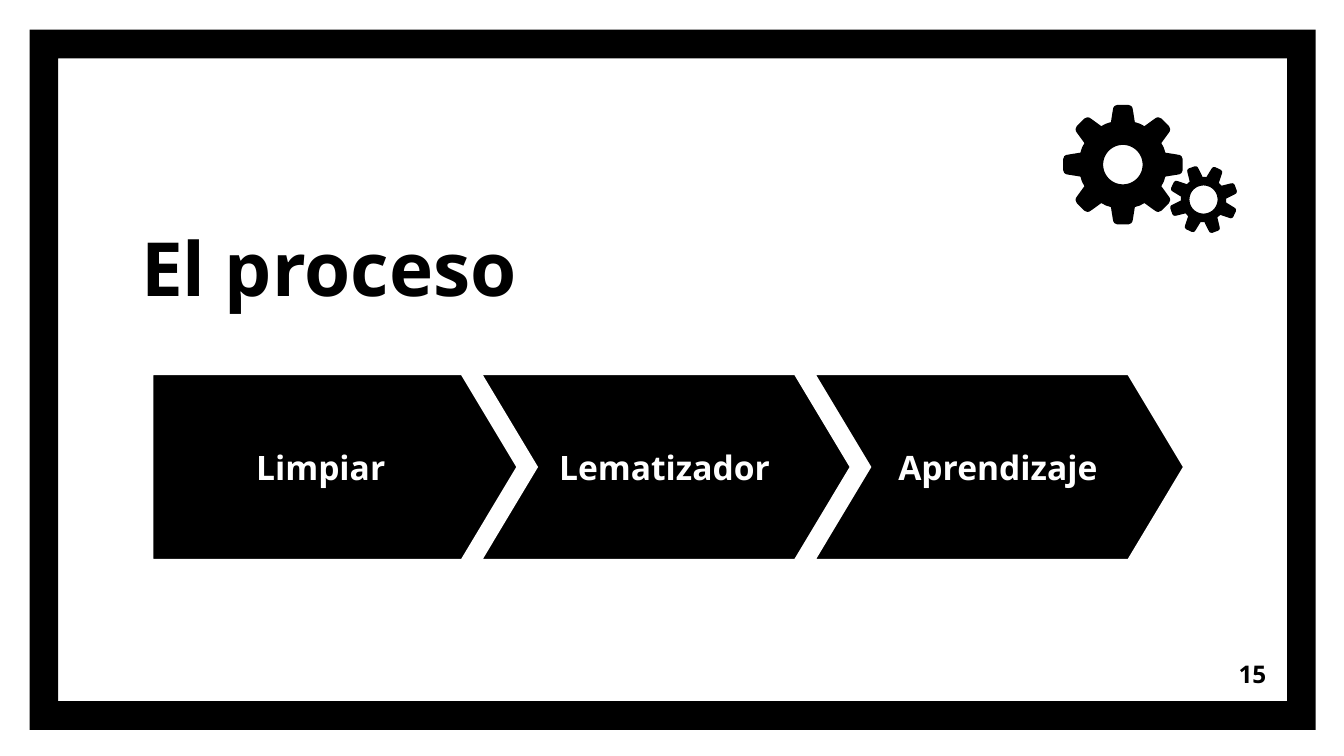
from dataclasses import dataclass
from math import cos, pi, sin

from lxml.etree import SubElement
from pptx import Presentation
from pptx.dml.color import RGBColor
from pptx.enum.shapes import MSO_SHAPE as Preset
from pptx.enum.text import MSO_ANCHOR as Anchor, MSO_AUTO_SIZE as AutoSize, PP_ALIGN as Align
from pptx.oxml.ns import qn
from pptx.util import Inches, Pt


@dataclass(frozen=True)
class Theme:
    """Colours, font and type sizes of the slide."""
    ink: RGBColor = RGBColor(0, 0, 0)
    paper: RGBColor = RGBColor(255, 255, 255)
    font: str = "Noto Sans"
    title_size: int = 40
    step_size: int = 18
    number_size: int = 13
    outline: int = 6


THEME = Theme()


def write_text(shape, text, size, color=THEME.ink, align=Align.LEFT, anchor=Anchor.MIDDLE):
    """Put one bold formatted paragraph into a shape."""
    frame = shape.text_frame
    frame.text = text
    frame.word_wrap = True
    frame.auto_size = AutoSize.NONE
    frame.vertical_anchor = anchor
    frame.margin_left = frame.margin_right = Inches(0.1)
    frame.margin_top = frame.margin_bottom = Inches(0.1)
    paragraph = frame.paragraphs[0]
    paragraph.alignment = align
    font = paragraph.runs[0].font
    font.name, font.size, font.bold = THEME.font, Pt(size), True
    font.color.rgb = color


def paint(shape, outline=None):
    """Fill a shape with ink and give it a sharp paper outline or none."""
    shape.shadow.inherit = False
    shape.fill.solid()
    shape.fill.fore_color.rgb = THEME.ink
    if outline:
        shape.line.color.rgb = THEME.paper
        shape.line.width = Pt(outline)
        line = shape.element.spPr.find(qn("a:ln"))
        SubElement(line, qn("a:miter"), lim="800000")
    else:
        shape.line.fill.background()


def add_preset(slide, preset, left, top, width, height, adjustment, outline=None):
    """Add a painted preset shape with one adjustment."""
    shape = slide.shapes.add_shape(
        preset, Inches(left), Inches(top), Inches(width), Inches(height))
    shape.adjustments[0] = adjustment
    paint(shape, outline)
    return shape


def add_title(slide, text, left, top, width, height):
    """Place the title placeholder in its box."""
    title = slide.shapes.title
    title.left, title.top = Inches(left), Inches(top)
    title.width, title.height = Inches(width), Inches(height)
    write_text(title, text, THEME.title_size, anchor=Anchor.BOTTOM)


def add_process(slide, labels, left, top, width, height):
    """Lay out a row of overlapping arrow steps across a box."""
    step_width, first_inset = 2.85, 0.06
    pitch = (width - step_width) / (len(labels) - 1)
    for index, label in enumerate(labels):
        inset = 0 if index else first_inset
        preset = Preset.CHEVRON if index else Preset.PENTAGON
        step = add_preset(slide, preset, left + index * pitch + inset, top,
                          step_width - inset, height, 0.3, THEME.outline)
        write_text(step, label, THEME.step_size, THEME.paper, Align.CENTER)


def add_gear(slide, left, top, size, root, hole, turn=0, teeth=8):
    """Draw a gear with rounded teeth and a round hole in a square box."""
    radius = size / 2

    def point(along, across, angle):
        x = left + radius * (1 + along * sin(angle) + across * cos(angle))
        y = top + radius * (1 - along * cos(angle) + across * sin(angle))
        return Inches(x), Inches(y)

    flank = [(root - 0.02, 0.2), (0.9, 0.17), (0.95, 0.16), (0.98, 0.14), (1, 0.09)]
    tooth = [(along, -across) for along, across in flank] + flank[::-1]
    outline = []
    for index in range(teeth):
        angle = turn * pi / 180 + index * 2 * pi / teeth
        outline += [point(along, across, angle) for along, across in tooth]
        outline.append(point(root + 0.01, 0, angle + pi / teeth))
    circle = [point(hole, 0, -index * pi / 24) for index in range(48)]

    builder = slide.shapes.build_freeform(*outline[0])
    builder.add_line_segments(outline[1:], close=True)
    builder.move_to(*circle[0])
    builder.add_line_segments(circle[1:], close=True)
    paint(builder.convert_to_shape())


def add_gears(slide, left, top):
    """Place the large gear and the small one at its lower right."""
    add_gear(slide, left, top, 0.89, root=0.73, hole=0.33)
    add_gear(slide, left + 0.79, top + 0.45, 0.51, root=0.65, hole=0.41, turn=25)


def add_number(slide, text, left, top, width, height):
    """Place the page number at the right of its box."""
    box = slide.shapes.add_textbox(Inches(left), Inches(top), Inches(width), Inches(height))
    write_text(box, text, THEME.number_size, align=Align.RIGHT)


def main():
    """Build and save the process slide."""
    presentation = Presentation()
    presentation.slide_width = Inches(10)
    presentation.slide_height = Inches(10 * 9 / 16)
    slide = presentation.slides.add_slide(presentation.slide_layouts[5])
    slide.background.fill.solid()
    slide.background.fill.fore_color.rgb = THEME.paper
    add_preset(slide, Preset.FRAME, 0.22, 0.22, 9.57, 5.21, 0.041)
    add_title(slide, "El proceso", 0.95, 0.93, 5.57, 1.49)
    add_process(slide, ["Limpiar", "Lematizador", "Aprendizaje"], 1.04, 2.75, 7.81, 1.45)
    add_gears(slide, 7.91, 0.78)
    add_number(slide, "15", 8.92, 4.8, 0.6, 0.43)
    presentation.save("out.pptx")


if __name__ == "__main__":
    main()
